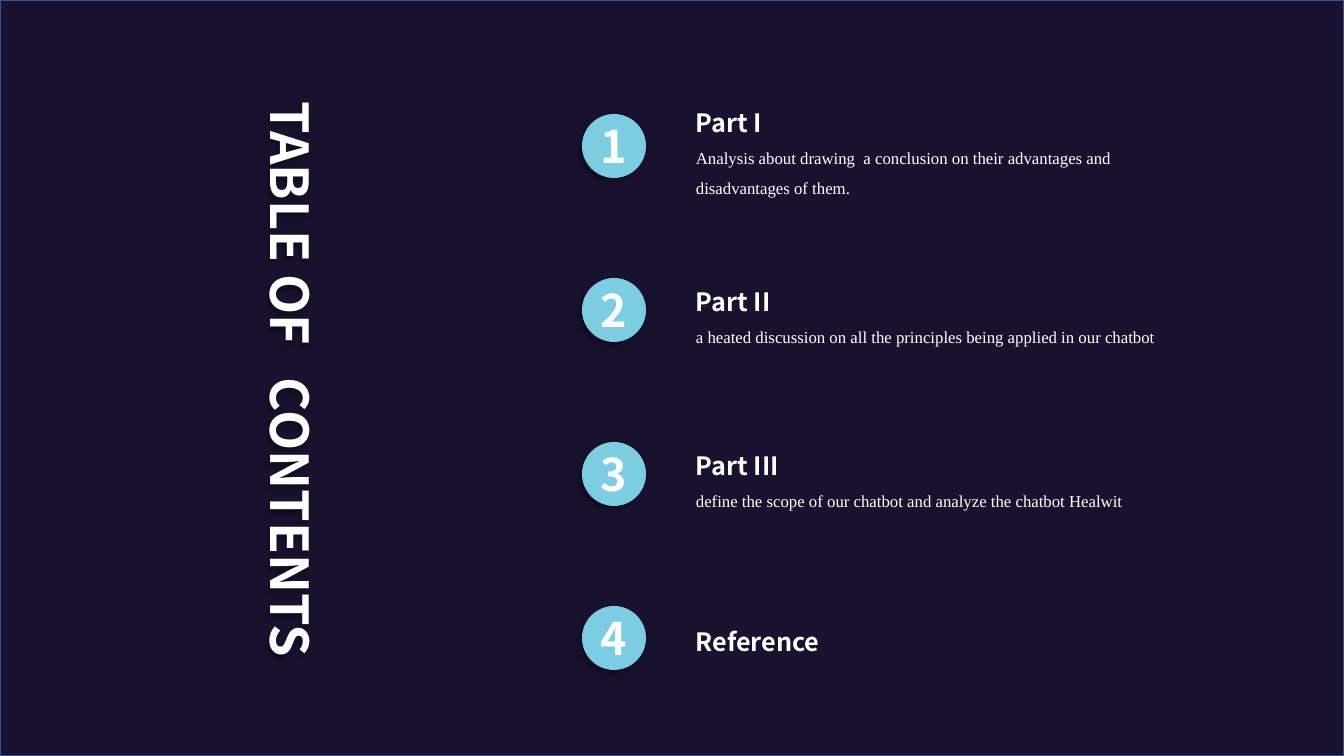
from lxml import etree
from pptx import Presentation
from pptx.dml.color import RGBColor
from pptx.enum.shapes import MSO_SHAPE
from pptx.enum.text import MSO_ANCHOR, MSO_AUTO_SIZE, PP_ALIGN
from pptx.oxml.ns import qn
from pptx.util import Pt

RECT, OVAL = MSO_SHAPE.RECTANGLE, MSO_SHAPE.OVAL
TOP, MIDDLE = MSO_ANCHOR.TOP, MSO_ANCHOR.MIDDLE
LEFT, CENTER = PP_ALIGN.LEFT, PP_ALIGN.CENTER
NO_FIT = MSO_AUTO_SIZE.NONE

EMU_PER_PX = 914400 / 100.8
SLIDE_W, SLIDE_H = 1344, 756
COLORS = {"night": "19122F", "edge": "325491", "badge": "7CCCE2",
          "text": "FFFFFF", "shadow": "000000"}
HEAD_FONT, BODY_FONT = "Noto Sans CJK SC", "Times New Roman"
ENTRIES = [
    ("Part I", "Analysis about drawing  a conclusion on their advantages and "
               "disadvantages of them.", 117),
    ("Part II", "a heated discussion on all the principles being applied in our chatbot", 87),
    ("Part III", "define the scope of our chatbot and analyze the chatbot Healwit", 87),
    ("Reference", "", 64),
]


def px(*lengths):
    """Turn pixel lengths into EMU."""
    return [round(n * EMU_PER_PX) for n in lengths]


def color(name):
    """Look up a colour by name."""
    return RGBColor.from_string(COLORS[name])


def add_shadow(sp):
    """Give a shape a soft shadow towards the lower left."""
    sp.shadow.inherit = False
    effects = sp._element.spPr.find(qn("a:effectLst"))
    shadow = etree.SubElement(effects, qn("a:outerShdw"), blurRad=str(Pt(4)),
                              dist=str(Pt(3)), dir="8100000", algn="tr", rotWithShape="0")
    clr = etree.SubElement(shadow, qn("a:srgbClr"), val=COLORS["shadow"])
    etree.SubElement(clr, qn("a:alpha"), val="40000")


def add_run(p, text, size, font=HEAD_FONT, bold=True):
    """Add one formatted run to a paragraph."""
    r = p.add_run()
    r.text = text
    r.font.size, r.font.name, r.font.bold = Pt(size), font, bold
    r.font.color.rgb = color("text")


def set_frame(tf, wrap, anchor=TOP):
    """Set wrapping and anchoring of a text frame."""
    tf.word_wrap, tf.vertical_anchor, tf.auto_size = wrap, anchor, NO_FIT


def add_backdrop(s):
    """Fill the slide with a dark panel behind everything else."""
    sp = s.shapes.add_shape(RECT, *px(0, 0, SLIDE_W, SLIDE_H))
    sp.shadow.inherit = False
    sp.fill.solid()
    sp.fill.fore_color.rgb = color("night")
    sp.line.color.rgb = color("edge")
    sp.line.width = Pt(1)
    s.shapes._spTree.insert(2, sp._element)


def add_heading(s, x, y):
    """Place the two halves of the vertical heading."""
    title = s.shapes.title
    title.left, title.top, title.width, title.height = px(x, y, 84, 262)
    rest = s.shapes.add_textbox(*px(x - 116, y + 393, 316, 74))
    rest.rotation = 90
    for sp, text in ((title, "TABLE OF"), (rest, "CONTENTS")):
        tf = sp.text_frame
        set_frame(tf, False)
        tf.paragraphs[0].alignment = LEFT
        add_run(tf.paragraphs[0], text, 37.3)
        add_shadow(sp)
    title.text_frame._txBody.bodyPr.set("vert", "eaVert")


def add_badge(s, x, y, size, number):
    """Draw a numbered circle."""
    sp = s.shapes.add_shape(OVAL, *px(x, y, size, size))
    sp.fill.solid()
    sp.fill.fore_color.rgb = color("badge")
    sp.line.fill.background()
    add_shadow(sp)
    tf = sp.text_frame
    set_frame(tf, False, MIDDLE)
    p = tf.paragraphs[0]
    p.alignment = CENTER
    add_run(p, str(number), 32)


def add_entry(s, x, middle, w, h, heading, detail):
    """Write a heading and its detail around a middle line."""
    tf = s.shapes.add_textbox(*px(x, middle - h / 2, w, h)).text_frame
    set_frame(tf, True)
    p = tf.paragraphs[0]
    p.line_spacing = 1.5
    add_run(p, heading, 18)
    if detail:
        p = tf.add_paragraph()
        p.line_spacing = 1.5
        add_run(p, detail, 12, BODY_FONT, False)


def add_contents(s, x, y, step, badge=64):
    """Lay out the numbered entries at equal steps."""
    for i, (heading, detail, h) in enumerate(ENTRIES):
        top = y + i * step
        add_badge(s, x, top, badge, i + 1)
        add_entry(s, x + 104, top + badge / 2, 523, h, heading, detail)


def main():
    """Build and save the slide."""
    prs = Presentation()
    prs.slide_width, prs.slide_height = px(SLIDE_W, SLIDE_H)
    s = prs.slides.add_slide(prs.slide_layouts.get_by_name("Title Only"))
    add_backdrop(s)
    add_heading(s, 249, 96)
    add_contents(s, 582, 114, 164)
    prs.save("out.pptx")


if __name__ == "__main__":
    main()
